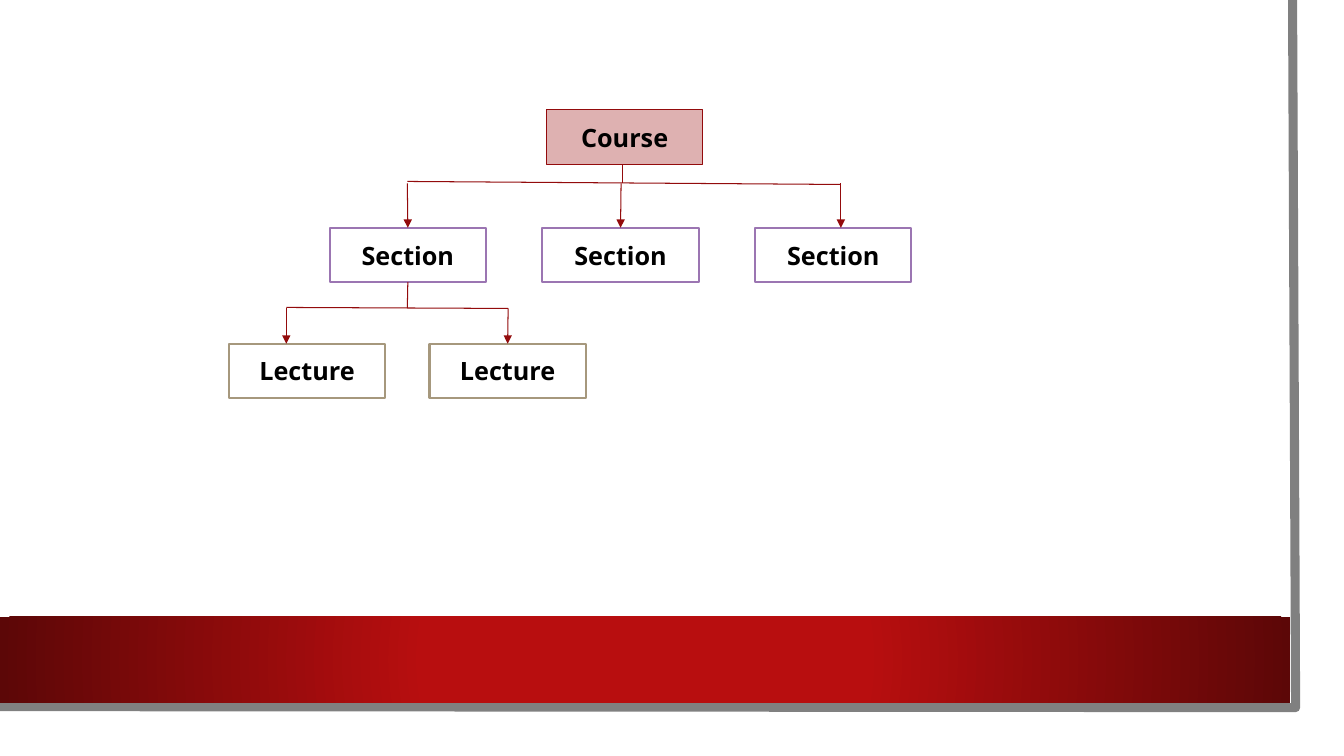
from dataclasses import dataclass

import lxml.etree
import pptx
import pptx.dml.color
import pptx.enum.dml
import pptx.enum.shapes
import pptx.enum.text
import pptx.oxml
import pptx.oxml.ns
import pptx.util

Inches = pptx.util.Inches
Pt = pptx.util.Pt
TOP, BOTTOM = 0, 2


@dataclass(frozen=True)
class Theme:
    font: str = "Open Sans"
    label_size: int = 18
    text: str = "000000"
    paper: str = "FFFFFF"
    edge: str = "808080"
    band: str = "B80E0F"
    band_dark: str = "5C0707"
    course: str = "DEB1B1"
    link: str = "930B0C"
    section: str = "9B75B2"
    lecture: str = "A6987D"
    thin: float = 0.75
    outline: float = 1.5
    edge_width: float = 6.5


def rgb(code):
    return pptx.dml.color.RGBColor.from_string(code)


class Diagram:
    box_width, box_height = 1.55, 0.54

    def __init__(self, slide, theme):
        self.shapes = slide.shapes
        self.theme = theme

    def panel(self, left, top, width, height, fill, line=None, line_width=None):
        panel = self.shapes.add_shape(
            pptx.enum.shapes.MSO_SHAPE.RECTANGLE,
            Inches(left), Inches(top), Inches(width), Inches(height))
        panel.shadow.inherit = False
        panel.fill.solid()
        panel.fill.fore_color.rgb = rgb(fill)
        if line:
            panel.line.color.rgb = rgb(line)
            panel.line.width = Pt(line_width)
        else:
            panel.line.fill.background()
        return panel

    def band(self, left, top, width, height):
        """Bar shaded from its centre outwards."""
        band = self.panel(left, top, width, height, self.theme.band)
        band.fill.gradient()
        gradient = band.fill._fill._gradFill
        for stop, position, color in zip(
                band.fill.gradient_stops, (0.34, 1),
                (self.theme.band, self.theme.band_dark)):
            stop.position = position
            stop.color.rgb = rgb(color)
        gradient.remove(gradient.find(pptx.oxml.ns.qn("a:lin")))
        gradient.insert(1, pptx.oxml.parse_xml(
            f'<a:path {pptx.oxml.ns.nsdecls("a")} path="circle">'
            '<a:fillToRect l="50000" t="50000" r="50000" b="50000"/></a:path>'))

    def page_edge(self, points):
        start, *rest = [(Inches(x), Inches(y)) for x, y in points]
        builder = self.shapes.build_freeform(*start)
        builder.add_line_segments(rest, close=False)
        edge = builder.convert_to_shape()
        edge.shadow.inherit = False
        edge.fill.background()
        edge.line.color.rgb = rgb(self.theme.edge)
        edge.line.width = Pt(self.theme.edge_width)

    def box(self, label, left, top, line, fill=None, line_width=None):
        box = self.panel(left, top, self.box_width, self.box_height,
                         fill or self.theme.paper, line,
                         line_width or self.theme.outline)
        box.text_frame.vertical_anchor = pptx.enum.text.MSO_ANCHOR.MIDDLE
        paragraph = box.text_frame.paragraphs[0]
        paragraph.text = label
        paragraph.alignment = pptx.enum.text.PP_ALIGN.CENTER
        paragraph.font.name = self.theme.font
        paragraph.font.size = Pt(self.theme.label_size)
        paragraph.font.bold = True
        paragraph.font.color.rgb = rgb(self.theme.text)
        return box

    def link(self, x1, y1, x2, y2, arrow=False, source=None, target=None):
        """Line that joins source's bottom and target's top where given."""
        link = self.shapes.add_connector(
            pptx.enum.shapes.MSO_CONNECTOR.STRAIGHT,
            Inches(x1), Inches(y1), Inches(x2), Inches(y2))
        link.line.color.rgb = rgb(self.theme.link)
        link.line.width = Pt(self.theme.thin)
        if arrow:
            head = lxml.etree.SubElement(
                link.line._get_or_add_ln(), pptx.oxml.ns.qn("a:tailEnd"))
            head.set("type", "triangle")
        lxml.etree.SubElement(
            link._element.spPr, pptx.oxml.ns.qn("a:effectLst"))
        if source is not None:
            link.begin_connect(source, BOTTOM)
        if target is not None:
            link.end_connect(target, TOP)


def main():
    deck = pptx.Presentation()
    deck.slide_width, deck.slide_height = Inches(13.33), Inches(7.5)
    theme = Theme()
    diagram = Diagram(deck.slides.add_slide(deck.slide_layouts[6]), theme)

    diagram.panel(0, 0, 13.1, 7.27, theme.paper)
    diagram.page_edge([(12.82, 0), (12.85, 7.02), (-0.03, 7.01)])
    diagram.band(0, 6.12, 12.8, 0.85)

    section_top, lecture_top = 2.26, 3.41
    sections = [diagram.box("Section", 3.27 + 2.11 * i, section_top, theme.section)
                for i in range(3)]
    lectures = [diagram.box("Lecture", 2.27 + 1.99 * i, lecture_top, theme.lecture)
                for i in range(2)]
    diagram.box("Course", 5.42, 1.09, theme.link, theme.course, theme.thin)

    diagram.link(4.04, 1.8, 8.34, 1.83)
    diagram.link(6.17, 1.64, 6.17, 1.82)
    for x, section in zip((4.04, 6.16, 8.34), (sections[0], sections[1], None)):
        diagram.link(x, 1.82, x, section_top, arrow=True, target=section)

    diagram.link(2.84, 3.05, 5.04, 3.06)
    diagram.link(4.04, 2.8, 4.04, 3.06, source=sections[0])
    for x, lecture in zip((2.84, 5.04), (None, lectures[1])):
        diagram.link(x, 3.06, x, lecture_top, arrow=True, target=lecture)

    deck.save("out.pptx")


if __name__ == "__main__":
    main()
